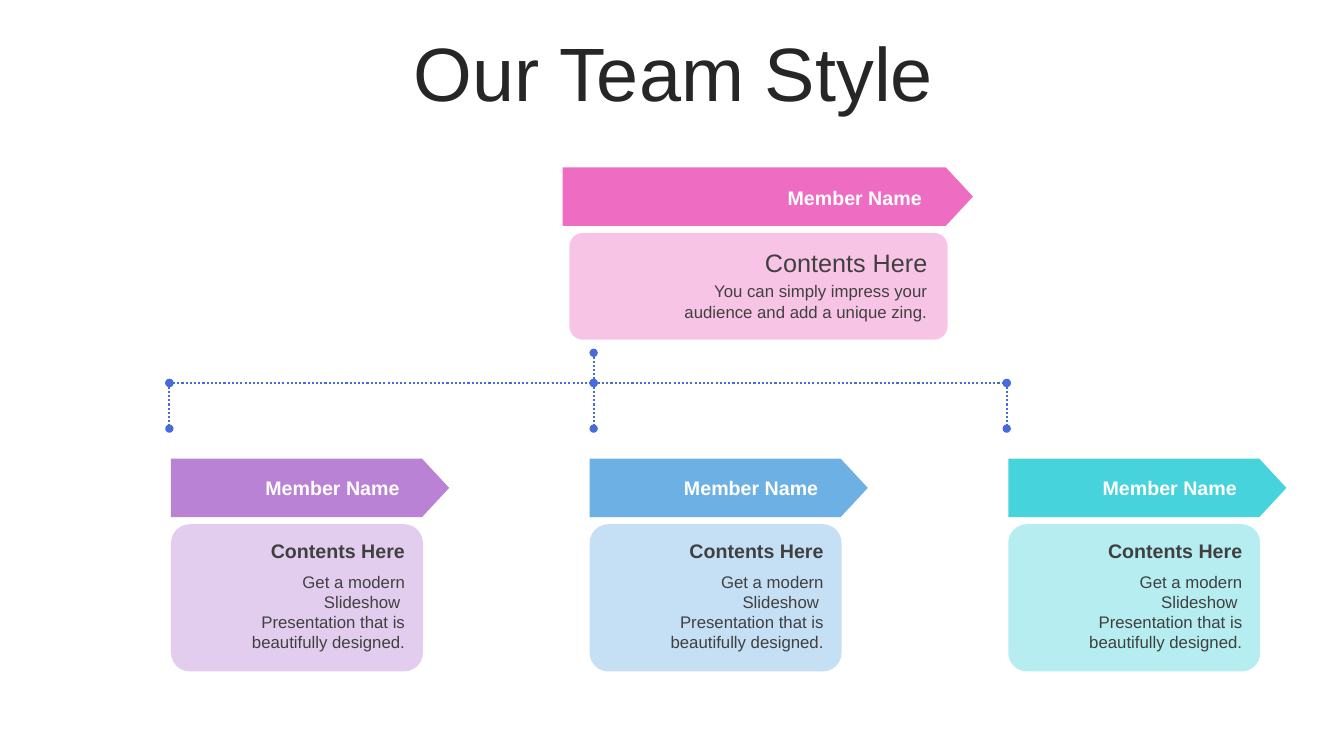
from lxml.etree import SubElement as Sub
from pptx import Presentation
from pptx.dml.color import RGBColor as RGB
from pptx.enum.dml import MSO_LINE as Dash
from pptx.enum.shapes import MSO_CONNECTOR as Conn, MSO_SHAPE as Kind
from pptx.enum.text import MSO_ANCHOR as Anchor, MSO_AUTO_SIZE as Fit, PP_ALIGN as Align
from pptx.oxml.ns import qn
from pptx.util import Cm, Pt

INK = RGB(0x26, 0x26, 0x26)
GREY = RGB(0x40, 0x40, 0x40)
WHITE = RGB(0xFF, 0xFF, 0xFF)
BLUE = RGB(0x47, 0x6A, 0xDD)
PINK, ROSE = RGB(0xEE, 0x6C, 0xC1), RGB(0xF8, 0xC4, 0xE6)
TEAM = [
    (RGB(0xB9, 0x82, 0xD5), RGB(0xE3, 0xCD, 0xEE)),
    (RGB(0x6D, 0xB0, 0xE4), RGB(0xC5, 0xDF, 0xF4)),
    (RGB(0x47, 0xD3, 0xDC), RGB(0xB5, 0xED, 0xF1)),
]
NAME = "Member Name "
HEAD = "Contents Here"
LEAD = "You can simply impress your audience and add a unique zing."
NOTE = "Get a modern Slideshow  Presentation that is beautifully designed."

deck = Presentation()
deck.slide_width, deck.slide_height = Cm(33.87), Cm(19.05)
slide = deck.slides.add_slide(deck.slide_layouts[5])
shapes = slide.shapes


def write(frame, text, align, color, **form):
    """Fill a text frame with one paragraph in the given font format."""
    frame.word_wrap = True
    para = frame.paragraphs[0]
    para.text, para.alignment = text, align
    para.font.color.rgb = color
    for key, value in {"name": "Arial", **form}.items():
        setattr(para.font, key, value)
    return para


title = shapes.title
title.left, title.top, title.width, title.height = Cm(0.89), Cm(0.94), Cm(32.16), Cm(2.01)
title.text_frame.auto_size = Fit.NONE
title.text_frame.vertical_anchor = Anchor.MIDDLE
para = write(title.text_frame, "Our Team Style", Align.CENTER, INK, size=Pt(54))
para.line_spacing = 0.9

# Panels: kind, corner or tip ratio, fill, left, top, width, height
panels = [
    (Kind.ROUNDED_RECTANGLE, 0.127, ROSE, 14.35, 5.87, 9.53, 2.69),
    (Kind.PENTAGON, 0.464, PINK, 14.18, 4.22, 10.34, 1.47),
]
# Labels: text, colour, size, bold, left, top, width, height
labels = [
    (LEAD, GREY, 12, False, 16.51, 6.96, 7.11, 1.27),
    (HEAD, GREY, 18, False, 16.51, 6.12, 7.11, 1.02),
    (NAME, WHITE, 14, True, 16.51, 4.55, 7.11, 0.86),
]
for i, (dark, pale) in enumerate(TEAM):
    left = 4.31 + 10.55 * i
    panels += [
        (Kind.ROUNDED_RECTANGLE, 0.127, pale, left, 13.21, 6.35, 3.71),
        (Kind.PENTAGON, 0.464, dark, left, 11.56, 7.01, 1.47),
    ]
    labels += [
        (NOTE, GREY, 12, False, left + 1.73, 14.27, 4.42, 2.31),
        (HEAD, GREY, 14, True, left + 1.73, 13.46, 4.42, 0.86),
        (NAME, WHITE, 14, True, left + 1.73, 11.86, 4.42, 0.86),
    ]

for kind, ratio, fill, *area in panels:
    panel = shapes.add_shape(kind, *map(Cm, area))
    panel.adjustments[0] = ratio
    panel.shadow.inherit = False
    panel.fill.solid()
    panel.fill.fore_color.rgb = fill
    panel.line.fill.background()

for text, color, size, bold, *area in labels:
    frame = shapes.add_textbox(*map(Cm, area)).text_frame
    frame.auto_size = Fit.SHAPE_TO_FIT_TEXT
    write(frame, text, Align.RIGHT, color, size=Pt(size), bold=bold)

# Tree: stem from the leader, crossbar, and a drop to each member
stops = [4.27, 14.96, 25.37]
top, bar, foot = 8.89, 9.65, 10.8
links = [(stops[1], top, stops[1], bar), (stops[0], bar, stops[2], bar)]
links += [(x, bar, x, foot) for x in stops]
for ends in links:
    link = shapes.add_connector(Conn.STRAIGHT, *map(Cm, ends))
    link.line.color.rgb = BLUE
    link.line.width = Pt(1.5)
    link.line.dash_style = Dash.ROUND_DOT
    props = link.line._get_or_add_ln()
    for tag in ("a:headEnd", "a:tailEnd"):
        Sub(props, qn(tag), type="oval")
    Sub(link._element.spPr, qn("a:effectLst"))

deck.save("out.pptx")
